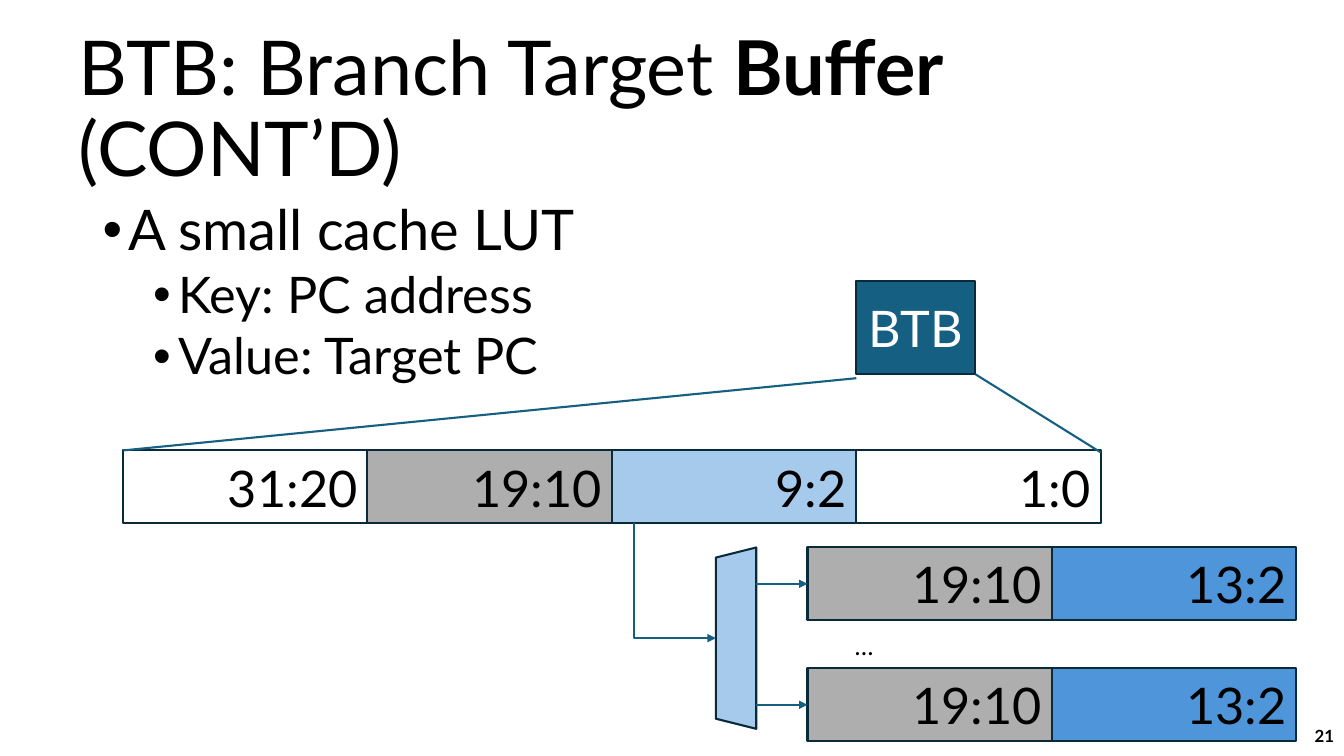
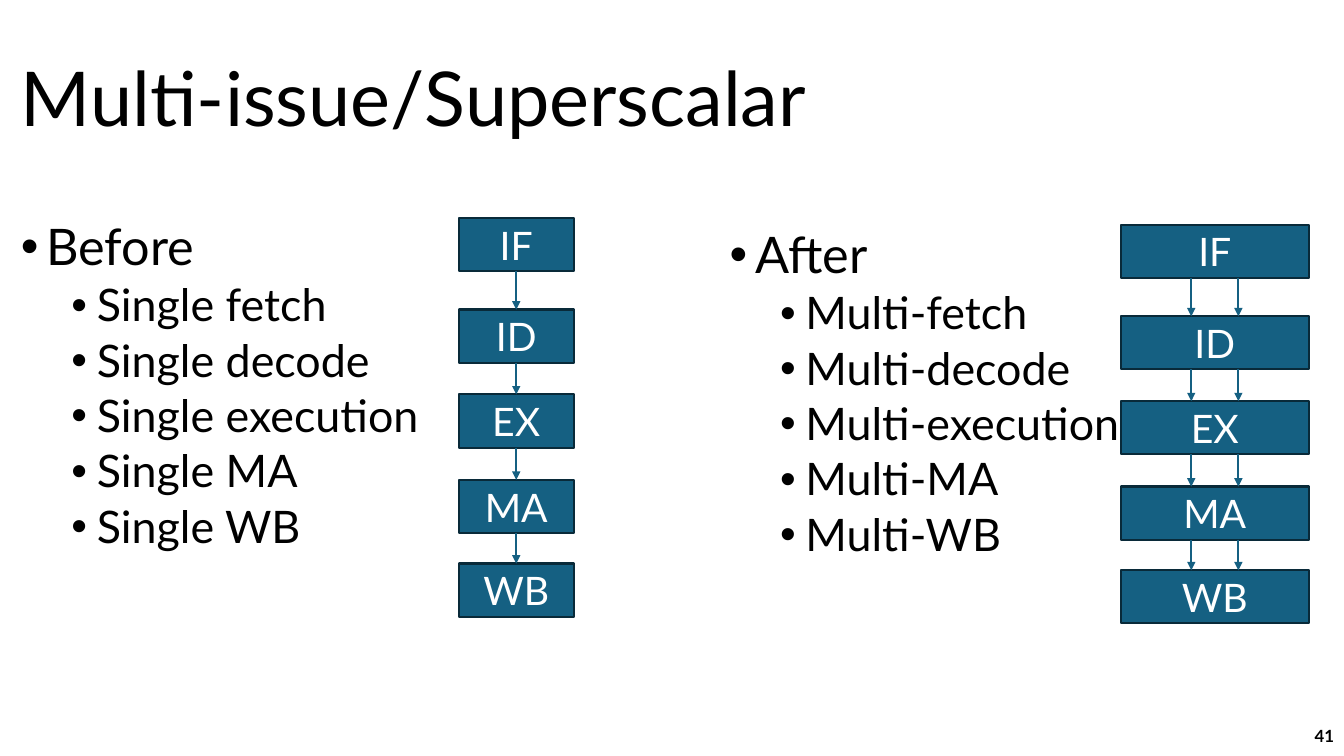
from lxml.etree import SubElement as Sub
from pptx import Presentation
from pptx.dml.color import RGBColor as Rgb
from pptx.enum.shapes import MSO_CONNECTOR as Conn, MSO_SHAPE as Form
from pptx.enum.text import MSO_ANCHOR as Anchor, PP_ALIGN as Align
from pptx.oxml.ns import qn
from pptx.util import Cm, Pt

HUE = {
    "ink": "000000", "white": "FFFFFF", "teal": "156082", "edge": "092A39",
    "gray": "AEAEAE", "pale": "A6CAEC", "blue": "4E95D9",
}
FONT = "Lato"
STEPS = ("IF", "ID", "EX", "MA", "WB")
DROPS = (0, 2.31, 4.45, 6.6, 8.71)
CELL_W, CELL_H = 6.16, 1.84


def color(name):
    """Return the named colour."""
    return Rgb.from_string(HUE[name])


def put(para, text, size, hue="ink", bold=False):
    """Add one run to a paragraph."""
    run = para.add_run()
    run.text = text
    font = run.font
    font.name, font.size, font.bold = FONT, Pt(size), bold
    font.color.rgb = color(hue)


def area(slide, x, y, w, h, anchor=Anchor.TOP, wrap=True):
    """Add a text box and return its frame."""
    frame = slide.shapes.add_textbox(Cm(x), Cm(y), Cm(w), Cm(h)).text_frame
    frame.word_wrap = wrap
    frame.vertical_anchor = anchor
    return frame


def title(slide, x, y, runs):
    """Add a title made of (text, bold) runs."""
    para = area(slide, x, y, 29.21, 3.68, Anchor.MIDDLE).paragraphs[0]
    para.line_spacing = 0.9
    for text, bold in runs:
        put(para, text, 54, bold=bold)


def number(slide, text):
    """Add the page number at the lower right."""
    para = area(slide, 26.25, 18.03, 7.62, 1.02, Anchor.MIDDLE).paragraphs[0]
    para.alignment = Align.RIGHT
    put(para, text, 12, bold=True)


def bullets(slide, x, y, w, h, size, head, items):
    """Add a head bullet with smaller bullets below it."""
    frame = area(slide, x, y, w, h)
    for i, text in enumerate((head, *items)):
        sub = i > 0
        para = frame.add_paragraph() if sub else frame.paragraphs[0]
        para.level = int(sub)
        props = para._p.get_or_add_pPr()
        props.set("marL", str(Cm(1.91 if sub else 0.64)))
        props.set("indent", str(-Cm(0.64)))
        Sub(props, qn("a:buFont")).set("typeface", "Arial")
        Sub(props, qn("a:buChar")).set("char", "•")
        para.line_spacing = 0.9
        if sub:
            para.space_before = Pt(5)
        put(para, text, size - 4 if sub else size)


def block(slide, x, y, w, h, fill, form=Form.RECTANGLE):
    """Add an outlined shape."""
    shape = slide.shapes.add_shape(form, Cm(x), Cm(y), Cm(w), Cm(h))
    shape.shadow.inherit = False
    shape.fill.solid()
    shape.fill.fore_color.rgb = color(fill)
    shape.line.color.rgb = color("edge")
    shape.line.width = Pt(1.5)
    return shape


def label(slide, x, y, w, h, fill, text, size, hue="white", align=Align.CENTER):
    """Add a rectangle with one line of text."""
    frame = block(slide, x, y, w, h, fill).text_frame
    frame.vertical_anchor = Anchor.MIDDLE
    para = frame.paragraphs[0]
    para.alignment = align
    put(para, text, size, hue)


def link(slide, x1, y1, x2, y2, arrow=True, kind=Conn.STRAIGHT):
    """Add a line, with an arrowhead if asked."""
    line = slide.shapes.add_connector(kind, Cm(x1), Cm(y1), Cm(x2), Cm(y2))
    line.line.color.rgb = color("teal")
    line.line.width = Pt(1.5)
    props = line._element.spPr
    if arrow:
        Sub(props.find(qn("a:ln")), qn("a:tailEnd")).set("type", "triangle")
    Sub(props, qn("a:effectLst"))
    return line


def elbow(slide, x1, y1, x2, y2):
    """Add an arrow that runs down, then right."""
    mx, my = (x1 + x2) / 2, (y1 + y2) / 2
    dx, dy = (x2 - x1) / 2, (y2 - y1) / 2
    line = link(slide, mx + dy, my - dx, mx - dy, my + dx, kind=Conn.ELBOW)
    props = line._element.spPr
    props.find(qn("a:xfrm")).set("rot", str(270 * 60000))
    props.find(qn("a:prstGeom")).set("prst", "bentConnector2")


def fields(slide, x, y, cells):
    """Add a row of equal bit fields."""
    for i, (text, fill) in enumerate(cells):
        label(slide, x + i * CELL_W, y, CELL_W, CELL_H, fill, text, 36,
              "ink", Align.RIGHT)


def lookup(slide, x, y):
    """Draw the buffer, its address fields and its entries."""
    bx, bw, bh, top = x + 3 * CELL_W, 3, 2.34, y + 4.26
    label(slide, bx, y, bw, bh, "teal", "BTB", 36)
    fields(slide, x, top, (("31:20", "white"), ("19:10", "gray"),
                           ("9:2", "pale"), ("1:0", "white")))
    link(slide, bx, y + 2.44, x, top, False)
    link(slide, x + 4 * CELL_W, top + 0.05, bx + bw, y + bh, False)

    mux, deep, tall = x + 14.94, 1.02, 4.57
    mid = y + 8.99
    form = block(slide, mux + (deep - tall) / 2, mid - deep / 2, tall, deep,
                 "pale", Form.TRAPEZOID)
    form.rotation = 270
    elbow(slide, x + 12.88, top + CELL_H, mux, mid)

    right = x + 17.25
    for row in (y + 6.7, y + 9.75):
        fields(slide, right, row, (("19:10", "gray"), ("13:2", "blue")))
        axis = row + CELL_H / 2
        link(slide, mux + deep, axis, right, axis)
    dots = area(slide, right + 0.94, y + 8.68, 1.04, 1.02, wrap=False)
    put(dots.paragraphs[0], "…", 18)


def stages(slide, x, y, w, lanes):
    """Draw the stages, joined by arrows at the given shares of the width."""
    high = 1.34
    for text, drop in zip(STEPS, DROPS):
        label(slide, x, y + drop, w, high, "teal", text, 28)
    for above, below in zip(DROPS, DROPS[1:]):
        for lane in lanes:
            axis = x + w * lane
            link(slide, axis, y + above + high, axis, y + below)


def side(slide, x, y, w, head, lead, chain):
    """Add one pipeline: its bullets and its chain of stages."""
    words = ("fetch", "decode", "execution", "MA", "WB")
    bullets(slide, x, y, w, 9.7, 36, head, [lead + word for word in words])
    stages(slide, *chain)


def buffer(slide):
    """Build the branch target buffer slide."""
    title(slide, 1.73, 0.97, (("BTB: Branch Target ", False),
                              ("Buffer ", True), ("(CONT’D)", False)))
    bullets(slide, 2.34, 4.98, 29.21, 12.09, 40, "A small cache LUT",
            ("Key: PC address", "Value: Target PC"))
    lookup(slide, 3.1, 7.09)
    number(slide, "21")


def issue(slide):
    """Build the multi-issue slide."""
    title(slide, 0.28, 0.74, (("Multi-issue/Superscalar", False),))
    side(slide, 0.28, 5.46, 13.59, "Before", "Single ",
         (11.56, 5.49, 2.9, (0.5,)))
    side(slide, 18.14, 5.66, 10.59, "After", "Multi-",
         (28.24, 5.66, 4.75, (0.375, 0.625)))
    number(slide, "41")


def main():
    """Build and save the deck."""
    deck = Presentation()
    deck.slide_width, deck.slide_height = Cm(33.87), Cm(19.05)
    for build in (buffer, issue):
        build(deck.slides.add_slide(deck.slide_layouts[6]))
    deck.save("out.pptx")


if __name__ == "__main__":
    main()
